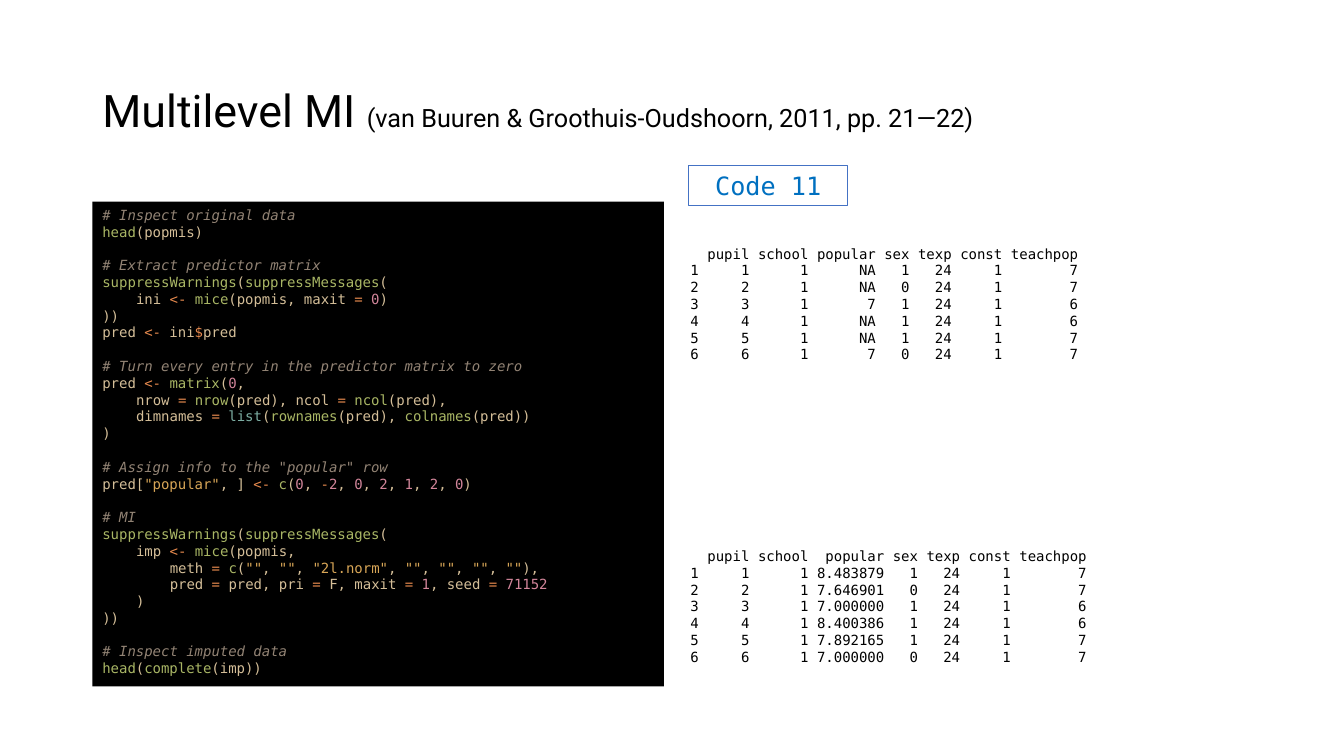
from dataclasses import dataclass
from itertools import accumulate, groupby

from lxml.etree import SubElement
from pptx import Presentation
from pptx.dml.color import RGBColor as Rgb
from pptx.enum.shapes import MSO_SHAPE as Kind
from pptx.enum.text import MSO_ANCHOR as Anchor, PP_ALIGN as Align
from pptx.oxml.ns import qn
from pptx.util import Cm, Pt


@dataclass(frozen=True)
class Theme:
    """Colours, fonts and type sizes of the slide."""
    ink: str = "000000"
    label: str = "0070C0"
    frame: str = "4472C4"
    plain: str = "D4BE98"
    note: str = "928374"
    call: str = "A9B665"
    base: str = "7DAEA3"
    sign: str = "E78A4E"
    digit: str = "D3869B"
    quote: str = "D8A657"
    sans: str = "Roboto"
    mono: str = "DejaVu Sans Mono"
    head: int = 32
    sub: int = 18
    code: int = 10
    pitch: int = 12


@dataclass(frozen=True)
class Box:
    """Place of a block, in centimetres."""
    left: float
    top: float
    width: float
    height: float

    def cm(self) -> tuple:
        """Return the four lengths."""
        return Cm(self.left), Cm(self.top), Cm(self.width), Cm(self.height)


@dataclass(frozen=True)
class Print:
    """A console print, whose values of popular vary."""
    popular: tuple
    gap: int

    def rows(self) -> list:
        """Return the header and the six numbered rows."""
        names = ("", "pupil", "school", "popular", "sex", "texp", "const", "teachpop")
        cells = zip(self.popular, "101110", "776677")
        return [names] + [(str(i), str(i), "1", pop, sex, "24", "1", teach)
                          for i, (pop, sex, teach) in enumerate(cells, 1)]


THEME = Theme()
CHAR = 0.2124  # width of one code character in cm
TAB = 4

TITLE = Box(2.33, 1.02, 29.21, 3.68)
LABEL = Box(17.35, 4.17, 4.02, 1.02)
CODE = Box(2.33, 5.08, 14.4, 12.22)
OUTPUT = Box(17.15, 5.21, 14.88, 12.09)

BLOCKS = (
    """# Inspect original data
head(popmis)""",
    """# Extract predictor matrix
suppressWarnings(suppressMessages(
    ini <- mice(popmis, maxit = 0)
))
pred <- ini$pred""",
    """# Turn every entry in the predictor matrix to zero
pred <- matrix(0,
    nrow = nrow(pred), ncol = ncol(pred),
    dimnames = list(rownames(pred), colnames(pred))
)""",
    """# Assign info to the "popular" row
pred["popular", ] <- c(0, -2, 0, 2, 1, 2, 0)""",
    """# MI
suppressWarnings(suppressMessages(
    imp <- mice(popmis,
        meth = c("", "", "2l.norm", "", "", "", ""),
        pred = pred, pri = F, maxit = 1, seed = 71152
    )
))""",
    """# Inspect imputed data
head(complete(imp))""",
)
PRINTS = (
    Print(("NA", "NA", "7", "NA", "NA", "7"), 0),
    Print(("8.483879", "7.646901", "7.000000", "8.400386", "7.892165", "7.000000"), 11),
)


def style(run, font: str, size: int, color: str) -> None:
    """Set the font, size and colour of a run."""
    run.font.name, run.font.size = font, Pt(size)
    run.font.color.rgb = Rgb.from_string(color)


def add(par, text: str, font: str, size: int, color: str):
    """Append a styled run to a paragraph."""
    run = par.add_run()
    run.text = text
    style(run, font, size, color)
    return run


def line(frame, first: bool, gap: int):
    """Return the next code line, below a gap counted in lines."""
    par = frame.paragraphs[0] if first else frame.add_paragraph()
    par.alignment = Align.LEFT
    par.line_spacing = Pt(THEME.pitch)
    par.space_before = Pt(gap * THEME.pitch)
    return par


def sort(char: str) -> str:
    """Name the class of a code character."""
    if char.isalnum():
        return "word"
    return "sign" if char in "<-=$" else "plain"


def tokens(text: str):
    """Yield each piece of a code line with its colour."""
    if text.startswith("#"):
        yield text, THEME.note
        return
    for i, part in enumerate(text.split('"')):
        if i % 2:
            yield f'"{part}"', THEME.quote
            continue
        bits = [(kind, "".join(run)) for kind, run in groupby(part, sort)]
        for (kind, bit), (_, after) in zip(bits, bits[1:] + [("", "")]):
            color = THEME.sign if kind == "sign" else THEME.plain
            if kind == "word" and bit.isdigit():
                color = THEME.digit
            elif kind == "word" and after.startswith("("):
                color = THEME.base if bit == "list" else THEME.call
            yield bit, color


def panel(slide, box: Box, fill: str = "", edge: str = ""):
    """Draw a flat rectangle and return its text frame."""
    shape = slide.shapes.add_shape(Kind.RECTANGLE, *box.cm())
    shape.shadow.inherit = False
    for paint, color in ((shape.fill, fill), (shape.line.fill, edge)):
        if color:
            paint.solid()
            paint.fore_color.rgb = Rgb.from_string(color)
        else:
            paint.background()
    if edge:
        shape.line.width = Pt(0.75)
    shape.text_frame.word_wrap = True
    return shape.text_frame


def title(slide) -> None:
    """Write the title and its citation."""
    frame = slide.shapes.add_textbox(*TITLE.cm()).text_frame
    frame.word_wrap = True
    frame.vertical_anchor = Anchor.MIDDLE
    par = frame.paragraphs[0]
    par.line_spacing = 0.9
    add(par, "Multilevel MI ", THEME.sans, THEME.head, THEME.ink)
    add(par, "(van Buuren & Groothuis-Oudshoorn, 2011, pp. 21—22)",
        THEME.sans, THEME.sub, THEME.ink)


def label(slide) -> None:
    """Draw the framed code number."""
    par = panel(slide, LABEL, edge=THEME.frame).paragraphs[0]
    par.text = "Code 11"
    par.alignment = Align.CENTER
    style(par.runs[0], THEME.mono, THEME.sub, THEME.label)


def code(slide) -> None:
    """Write the coloured code on its black panel."""
    frame = panel(slide, CODE, fill=THEME.ink)
    frame.vertical_anchor = Anchor.TOP
    for b, block in enumerate(BLOCKS):
        for r, row in enumerate(block.splitlines()):
            par = line(frame, b + r == 0, int(b > 0 and r == 0))
            text = row.lstrip()
            depth = (len(row) - len(text)) // TAB
            par._p.get_or_add_pPr().set("marL", str(Cm(depth * TAB * CHAR)))
            for bit, color in tokens(text):
                run = add(par, bit, THEME.mono, THEME.code, color)
                run.font.italic = color == THEME.note


def stops(par, rows: list) -> None:
    """Set a right tab at the end of each column after the first."""
    sizes = [max(map(len, col)) for col in zip(*rows)]
    ends = list(accumulate(sizes, lambda end, size: end + 1 + size))
    tabs = SubElement(par._p.get_or_add_pPr(), qn("a:tabLst"))
    for end in ends[1:]:
        SubElement(tabs, qn("a:tab"), pos=str(Cm(end * CHAR)), algn="r")


def output(slide) -> None:
    """Write both console prints in tabbed columns."""
    frame = slide.shapes.add_textbox(*OUTPUT.cm()).text_frame
    frame.word_wrap = True
    frame.margin_top = Cm(0.97)
    for p, part in enumerate(PRINTS):
        rows = part.rows()
        for r, row in enumerate(rows):
            par = line(frame, p + r == 0, 0 if r else part.gap)
            stops(par, rows)
            par.text = "\t".join(row)
            style(par.runs[0], THEME.mono, THEME.code, THEME.ink)


def main() -> None:
    """Build and save the slide."""
    deck = Presentation()
    deck.slide_width, deck.slide_height = Cm(33.87), Cm(19.05)
    slide = deck.slides.add_slide(deck.slide_layouts[6])
    for draw in (title, label, code, output):
        draw(slide)
    deck.save("out.pptx")


main()
